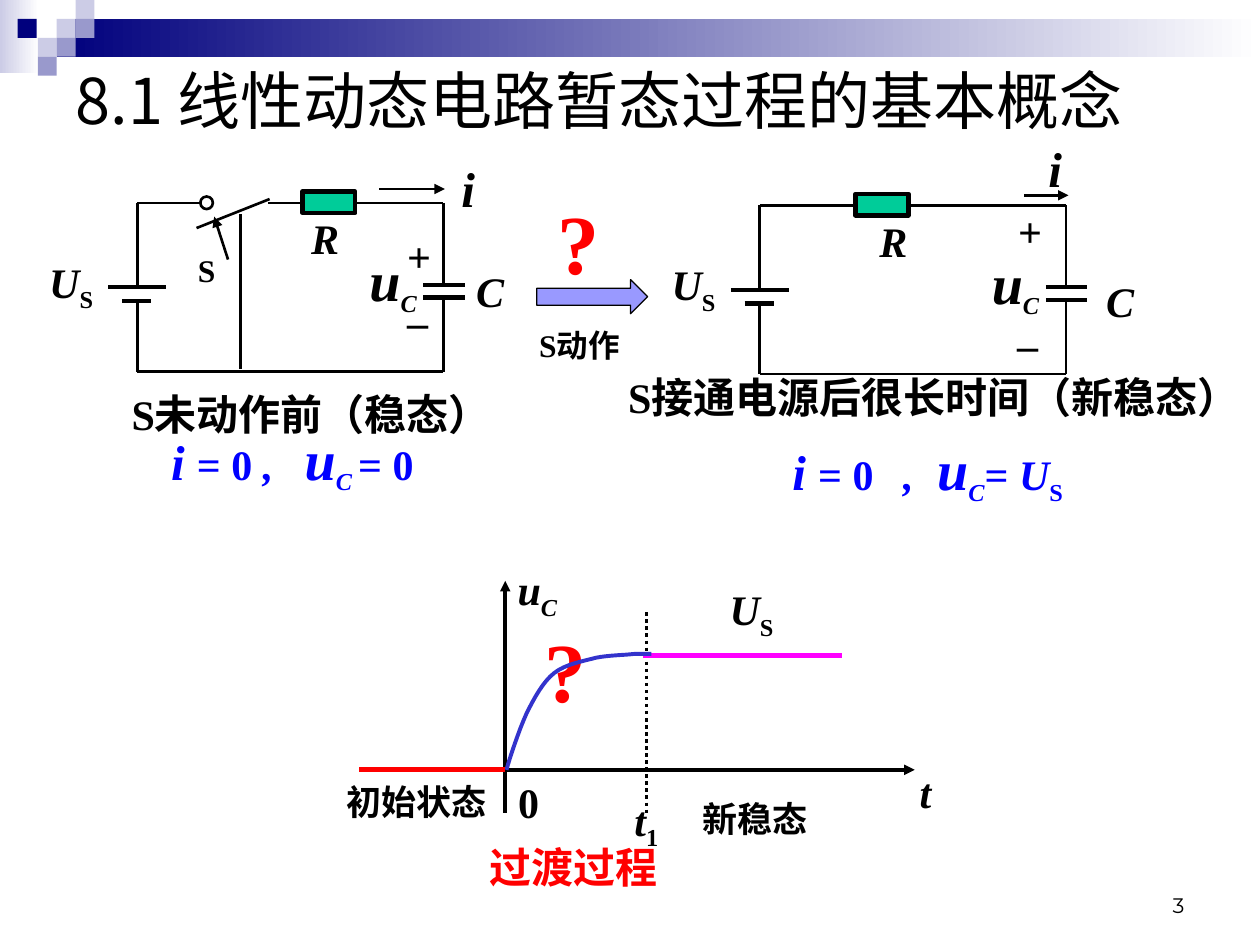
from lxml import etree
from pptx import Presentation
from pptx import util as u
from pptx.dml.color import RGBColor
from pptx.enum import dml, shapes, text
from pptx.oxml.ns import qn

PX = 9144  # 100 px to the inch
SERIF, SANS = "Times New Roman", "Noto Sans CJK SC"
BLACK, RED, BLUE = "000000", "FF0000", "0000FF"
color = RGBColor.from_string

deck = Presentation()
deck.slide_width, deck.slide_height = 1000 * PX, 750 * PX
page = deck.slides.add_slide(deck.slide_layouts[5])


def label(left, top, width, height, spans, ink=BLACK, anchor="MIDDLE",
          align="CENTER", wrap=False, tabs=()):
    """Add a bold text box; spans are (text, size, style), style i italic, s subscript."""
    box = page.shapes.add_textbox(left * PX, top * PX, width * PX, height * PX)
    frame = box.text_frame
    frame.word_wrap = wrap
    frame.vertical_anchor = text.MSO_ANCHOR[anchor]
    para = frame.paragraphs[0]
    para.alignment = text.PP_ALIGN[align]
    if tabs:
        stops = etree.SubElement(para._p.get_or_add_pPr(), qn("a:tabLst"))
        for stop in tabs:
            etree.SubElement(stops, qn("a:tab"), pos=str(stop * PX), algn="l")
    for words, size, style in spans:
        span = para.add_run()
        span.text = words
        font = span.font
        font.name, font.size, font.bold = SERIF, u.Pt(size), True
        font.italic = "i" in style
        font.color.rgb = color(ink)
        props = span._r.get_or_add_rPr()
        etree.SubElement(props, qn("a:ea"), typeface=SANS)
        if "s" in style:
            props.set("baseline", "-25000")
    return box


def line(x1, y1, x2, y2, width=1.5, ink=BLACK, arrow=False):
    wire = page.shapes.add_connector(
        shapes.MSO_CONNECTOR.STRAIGHT, x1 * PX, y1 * PX, x2 * PX, y2 * PX)
    wire.line.color.rgb = color(ink)
    wire.line.width = u.Pt(width)
    if arrow:
        etree.SubElement(wire.line._get_or_add_ln(), qn("a:tailEnd"), type="triangle")
    etree.SubElement(wire._element.spPr, qn("a:effectLst"))
    return wire


# Header band and squares
header = [
    (0, 0, 31, 58, "CCCCE6", True), (45, 15, 955, 30, "00007D", True),
    (45, 15, 15, 15, "CCCCE6", False), (60, 0, 15, 15, "CCCCE6", False),
    (60, 15, 15, 15, "9999CC", False), (30, 30, 15, 15, "CCCCE6", False),
    (14, 15, 15, 15, "00007D", False), (45, 30, 15, 15, "9999CC", False),
    (30, 45, 15, 15, "9999CC", False),
]
for left, top, width, height, ink, fades in header:
    block = page.shapes.add_shape(
        shapes.MSO_SHAPE.RECTANGLE, left * PX, top * PX, width * PX, height * PX)
    block.shadow.inherit = False
    block.line.fill.background()
    if fades:
        block.fill.gradient()
        block.fill.gradient_angle = 0
        for stop, shade in zip(block.fill.gradient_stops, (ink, "FFFFFF")):
            stop.color.rgb = color(shade)
    else:
        block.fill.solid()
        block.fill.fore_color.rgb = color(ink)

title = page.shapes.title
title.left, title.top, title.width, title.height = 50 * PX, 50 * PX, 900 * PX, 58 * PX
title.text_frame.text = "8.1 线性动态电路暂态过程的基本概念"
title.text_frame.auto_size = text.MSO_AUTO_SIZE.NONE
title.text_frame.vertical_anchor = text.MSO_ANCHOR.MIDDLE
para = title.text_frame.paragraphs[0]
para.alignment = text.PP_ALIGN.LEFT
span = para.runs[0]
span.font.name, span.font.size = SANS, u.Pt(36)
span.font.color.rgb = color(BLACK)
etree.SubElement(span._r.get_or_add_rPr(), qn("a:ea"), typeface=SANS)

# Circuits: corner, ends of the two top wires, resistor, label places, current arrow
circuits = [
    (109, 161, 160, 213, 240, (237, 164), (368, 206), (356, 121),
     (313, 178), (313, 230), "TOP", (301, 150, 353, 150)),
    (603, 163, 724, 707, 679, (688, 166), (868, 214), (822, 105),
     (798, 158), (797, 248), "MIDDLE", (813, 155, 848, 155)),
]
for (x, y, wire_end, wire_start, resistor_left, r_at, c_at, i_at,
     plus_at, minus_at, sign_anchor, current) in circuits:
    right, bottom = x + 243, y + 134
    line(x, y, wire_end, y)
    line(wire_start, y, right, y)
    line(x, bottom, right, bottom)
    line(x, y, x, y + 67)
    line(x, y + 78, x, bottom)
    line(right, y, right, y + 65)
    line(right, y + 75, right, bottom)
    line(x - 23, y + 67, x + 23, y + 67, 2.5)
    line(x - 12, y + 78, x + 11, y + 78, 2.5)
    for plate in (65, 75):
        line(right - 16, y + plate, right + 17, y + plate, 2.5)
    line(*current, arrow=True)
    resistor = page.shapes.add_shape(
        shapes.MSO_SHAPE.RECTANGLE, resistor_left * PX, (y - 9) * PX, 42 * PX, 17 * PX)
    resistor.shadow.inherit = False
    resistor.fill.solid()
    resistor.fill.fore_color.rgb = color("00CC99")
    resistor.line.color.rgb = color(BLACK)
    resistor.line.width = u.Pt(2.5)
    label(x - 81, y + 40, 57, 50, [("U", 24, "i"), ("S", 24, "s")])
    label(x + 173, y + 31, 60, 63, [("u", 32, "i"), ("C", 24, "is")])
    label(*r_at, 42, 50, [("R", 24, "i")])
    label(*c_at, 42, 50, [("C", 24, "i")])
    label(*i_at, 31, 57, [("i", 28, "i")])
    label(*plus_at, 39, 50, [("+", 24, "")], anchor=sign_anchor)
    label(*minus_at, 37, 50, [("–", 24, "")], anchor=sign_anchor)

# Switch
line(214, 158, 156, 181)
line(191, 170, 191, 293)
line(181, 206, 170, 172, arrow=True)
label(147, 194, 34, 40, [("S", 18, "")])
contact = page.shapes.add_shape(
    shapes.MSO_SHAPE.OVAL, 159 * PX, 156 * PX, 10 * PX, 10 * PX)
contact.shadow.inherit = False
contact.fill.background()
contact.line.color.rgb = color(BLACK)
contact.line.width = u.Pt(1.5)

# Captions and state equations
label(84, 303, 326, 50, [("S未动作前（稳态）", 24, "")])
label(482, 290, 518, 50, [("S接通电源后很长时间（新稳态）", 24, "")])
label(126, 333, 234, 64,
      [("i ", 28, "i"), ("= 0 ", 24, ""), (",\t", 24, "i"), ("u", 32, "i"),
       ("C ", 24, "is"), ("= 0", 24, "")],
      BLUE, align="LEFT", wrap=True, tabs=(106,))
label(619, 342, 257, 63,
      [("i ", 28, "i"), ("= 0\t", 24, ""), (",\t", 24, "i"), ("u", 32, "i"),
       ("C", 24, "is"), ("= ", 24, ""), ("U", 24, "i"), ("S", 24, "s")],
      BLUE, align="LEFT", wrap=True, tabs=(88, 115))

# Response graph
line(513, 486, 513, 645, 2).line.dash_style = dml.MSO_LINE.ROUND_DOT
line(510, 520, 668, 520, 3, "FF00FF")
line(318, 611, 726, 611, 2, arrow=True)
line(401, 645, 401, 461, 2, arrow=True)
line(285, 611, 401, 611, 3, RED)
label(400, 445, 53, 50, [("u", 24, "i"), ("C", 24, "is")])
label(568, 461, 57, 50, [("U", 24, "i"), ("S", 24, "s")])
label(720, 603, 29, 50, [("t", 24, "i")])
label(401, 611, 37, 50, [("0", 24, "")])
label(493, 628, 40, 50, [("t", 24, "i"), ("1", 24, "s")])
label(255, 615, 151, 43, [("初始状态", 20, "")])
label(537, 628, 125, 43, [("新稳态", 20, "")])
label(376, 663, 158, 50, [("过渡过程", 24, "")], RED)
label(401, 486, 95, 90, [("?", 48, "")], RED)

# Charging curve as a chain of cubic pieces
start = (402, 611)
pieces = [
    ((404, 603), (412, 579), (418, 566)), ((424, 554), (431, 541), (440, 534)),
    ((449, 527), (462, 525), (473, 522)), ((483, 520), (495, 520), (503, 519)),
    ((510, 519), (515, 519), (517, 519)),
]
points, last = [], start
for first, second, end in pieces:
    for step in range(1, 9):
        t = step / 8
        points.append(tuple(
            round(PX * ((1 - t) ** 3 * a + 3 * (1 - t) ** 2 * t * b
                        + 3 * (1 - t) * t ** 2 * c + t ** 3 * d))
            for a, b, c, d in zip(last, first, second, end)))
    last = end
builder = page.shapes.build_freeform(start[0] * PX, start[1] * PX)
builder.add_line_segments(points, close=False)
curve = builder.convert_to_shape()
curve.shadow.inherit = False
curve.fill.background()
curve.line.color.rgb = color("3333CC")
curve.line.width = u.Pt(2.25)

# Transition between the circuits
action = page.shapes.add_shape(
    shapes.MSO_SHAPE.RIGHT_ARROW, 426 * PX, 222 * PX, 88 * PX, 27 * PX)
action.shadow.inherit = False
action.fill.solid()
action.fill.fore_color.rgb = color("9999FF")
action.line.color.rgb = color(BLACK)
action.line.width = u.Pt(0.75)
label(412, 146, 95, 90, [("?", 48, "")], RED)
label(418, 254, 115, 40, [("S动作", 18, "")], anchor="TOP", align="LEFT", wrap=True)

number = label(717, 683, 233, 50, [("3", 12, "")], anchor="BOTTOM", align="RIGHT", wrap=True)
digit = number.text_frame.paragraphs[0].runs[0].font
digit.name, digit.bold = "Montserrat", False

deck.save("out.pptx")
